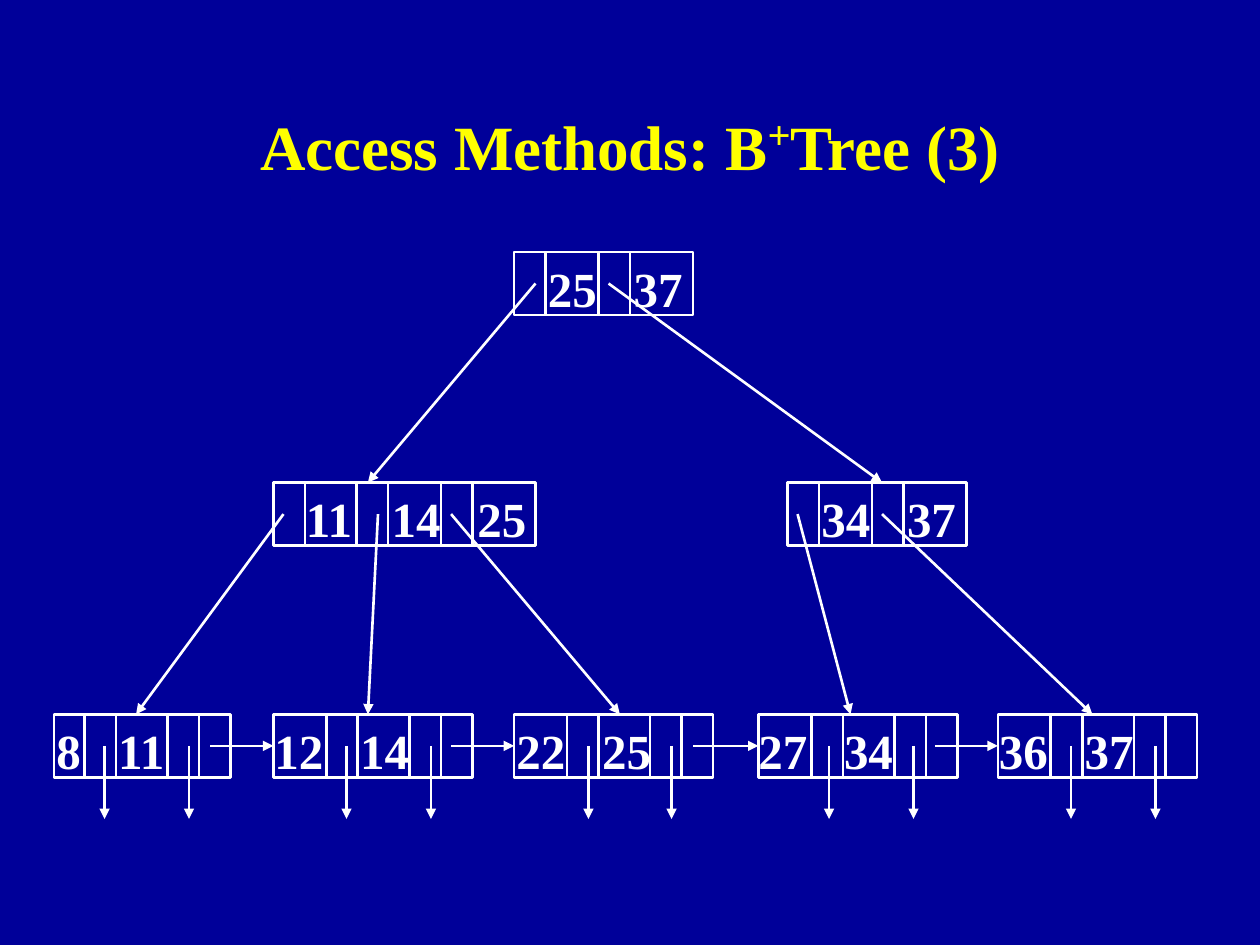
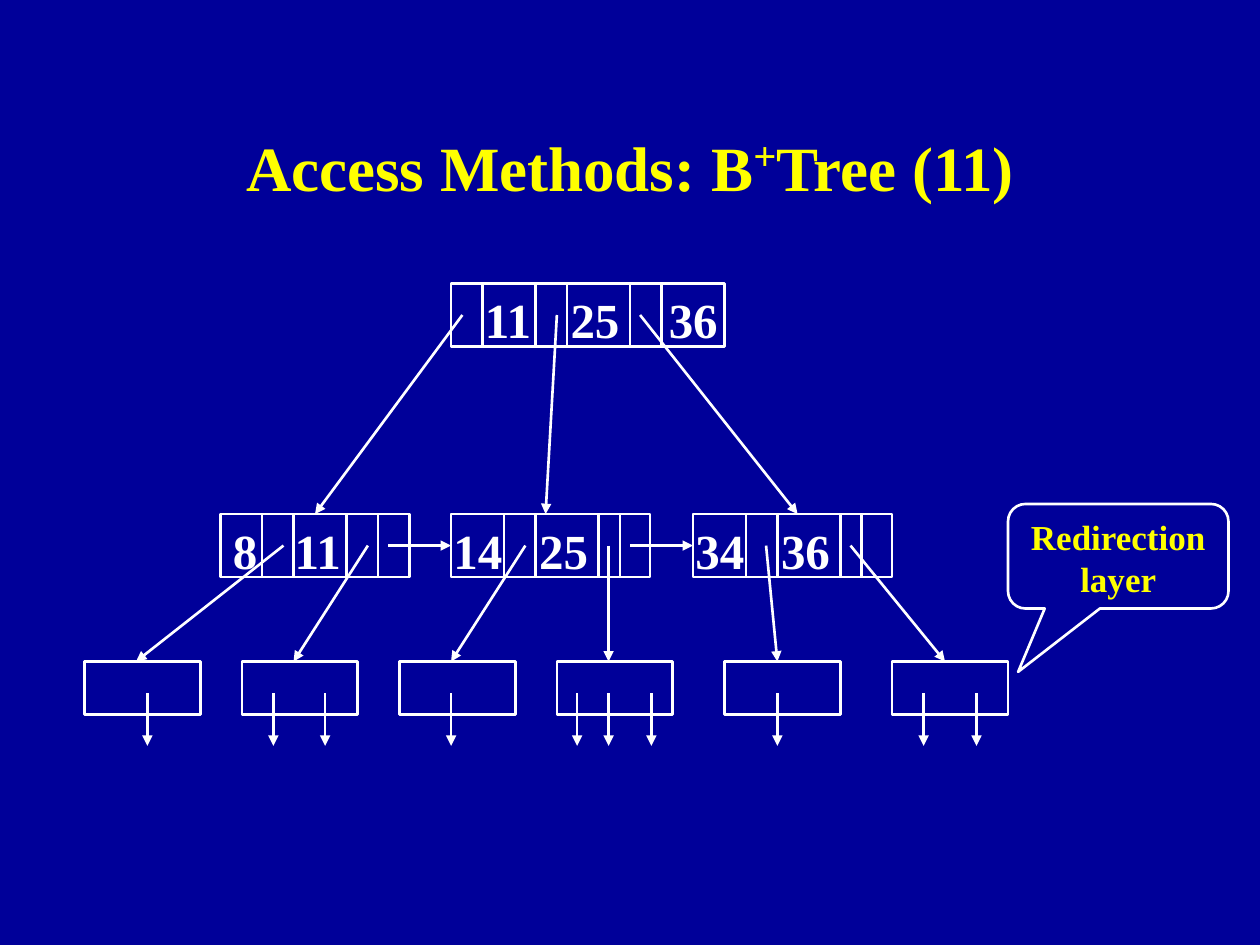
from itertools import accumulate

from lxml import etree
from pptx import Presentation
from pptx.dml.color import RGBColor
from pptx.enum.shapes import MSO_CONNECTOR, MSO_SHAPE
from pptx.enum.text import MSO_ANCHOR, MSO_AUTO_SIZE, PP_ALIGN
from pptx.oxml.ns import qn
from pptx.util import Inches, Pt

STRAIGHT = MSO_CONNECTOR.STRAIGHT
RECTANGLE = MSO_SHAPE.RECTANGLE
CALLOUT = MSO_SHAPE.ROUNDED_RECTANGULAR_CALLOUT
TOP, MIDDLE = MSO_ANCHOR.TOP, MSO_ANCHOR.MIDDLE
CENTER = PP_ALIGN.CENTER
NO_FIT, GROW = MSO_AUTO_SIZE.NONE, MSO_AUTO_SIZE.SHAPE_TO_FIT_TEXT
TOP_SITE, LEFT_SITE = 0, 1

NAVY, YELLOW, WHITE = "000099", "FFFF00", "FFFFFF"
FONT = "Times New Roman"
TITLE_FORMAT = {"size": 36, "color": YELLOW}
PLUS_FORMAT = {"size": 40, "color": YELLOW}
KEY_FORMAT = {"size": 28, "color": WHITE}
NOTE_FORMAT = {"size": 20, "color": YELLOW}

NODE_HEIGHT = 0.5
KEY_BOX_HEIGHT = 0.57
BUCKET_SIZE = (0.92, 0.42)
JOIN_TOLERANCE = 0.03

# Cell widths of each kind of node, from left to right
TWO_KEY_INNER = (0.25, 0.42, 0.25, 0.5)
THREE_KEY_INNER = (0.25, 0.41, 0.25, 0.42, 0.25, 0.5)
WIDE_ROOT = (0.25, 0.42, 0.25, 0.5, 0.25, 0.5)
LEAF = (0.42, 0.25, 0.41, 0.25, 0.25)
FIRST_LEAF = (0.24, 0.25, 0.41, 0.25, 0.25)
INDEX_LEAF = (0.42, 0.25, 0.5, 0.17, 0.24)
FIRST_INDEX_LEAF = (0.33, 0.25, 0.42, 0.25, 0.25)

# Nodes: left, top, cell widths, left of key text, keys, tab stops
# Arrow levels: start y, end y, (start x, end x) pairs
SLIDES = [
    {
        "title_end": "Tree (3)",
        "title_height": 0.92,
        "nodes": [
            (4.08, 2, TWO_KEY_INNER, 4.25, ("25", "37"), (0.68,)),
            (2.17, 3.83, THREE_KEY_INNER, 2.33, ("11", "14", "25"), (0.68, 1.36)),
            (6.25, 3.83, TWO_KEY_INNER, 6.42, ("34", "37"), (0.68,)),
            (0.43, 5.67, FIRST_LEAF, 0.35, ("8", "11"), (0.49,)),
            (2.17, 5.67, LEAF, 2.08, ("12", "14"), (0.68,)),
            (4.08, 5.67, LEAF, 4, ("22", "25"), (0.68,)),
            (6.02, 5.67, LEAF, 5.92, ("27", "34"), (0.68,)),
            (7.92, 5.67, LEAF, 7.83, ("36", "37"), (0.68,)),
        ],
        "buckets": [],
        "arrow_levels": [
            (2.25, 3.83, [(4.25, 2.92), (4.83, 7)]),
            (4.08, 5.67, [(2.25, 1.08), (3, 2.92), (3.58, 4.92),
                          (6.33, 6.75), (7, 8.67)]),
            (5.92, 5.92, [(1.67, 2.17), (3.58, 4.08), (5.5, 6.02), (7.42, 7.92)]),
            (5.92, 6.5, [(x, x) for x in (0.83, 1.5, 2.75, 3.42, 4.67,
                                          5.33, 6.58, 7.25, 8.5, 9.17)]),
        ],
        "note": None,
    },
    {
        "title_end": "Tree (11)",
        "title_height": 1.25,
        "nodes": [
            (3.58, 2.25, WIDE_ROOT, 3.75, ("11", "25", "36"), (0.68, 1.46)),
            (1.75, 4.08, FIRST_INDEX_LEAF, 1.75, ("8", "11"), (0.49,)),
            (3.58, 4.08, INDEX_LEAF, 3.5, ("14", "25"), (0.68,)),
            (5.5, 4.08, INDEX_LEAF, 5.42, ("34", "36"), (0.68,)),
        ],
        "buckets": [(x, 5.25) for x in (0.67, 1.92, 3.17, 4.42, 5.75, 7.08)],
        "arrow_levels": [
            (2.5, 4.08, [(3.67, 2.5), (4.42, 4.33), (5.08, 6.33)]),
            (4.33, 4.33, [(3.08, 3.58), (5, 5.5)]),
            (4.33, 5.25, [(2.25, 1.08), (2.92, 2.33), (4.17, 3.58),
                          (4.83, 4.83), (6.08, 6.17), (6.75, 7.5)]),
            (5.5, 5.92, [(x, x) for x in (1.17, 2.17, 2.58, 3.58, 4.58,
                                          4.83, 5.17, 6.17, 7.33, 7.75)]),
        ],
        "note": {
            "text": "Redirection layer",
            "box": (8, 4, 1.75, 0.83),
            "adjustments": (-0.454, 1.106, 0.167),
        },
    },
]


def rgb(color):
    return RGBColor.from_string(color)


def inches(*values):
    return [Inches(value) for value in values]


def set_attributes(target, values):
    for name, value in values.items():
        setattr(target, name, value)


def add_run(paragraph, text, text_format):
    run = paragraph.add_run()
    run.text = text
    set_attributes(run.font, {"name": FONT, "bold": True,
                              "size": Pt(text_format["size"])})
    run.font.color.rgb = rgb(text_format["color"])
    return run


def style_line(shape):
    shape.line.color.rgb = rgb(WHITE)
    shape.line.width = Pt(1.5)


def add_outline(slide, kind, box):
    shape = slide.shapes.add_shape(kind, *inches(*box))
    shape.shadow.inherit = False
    shape.fill.background()
    style_line(shape)
    return shape


def add_line(slide, start, end):
    line = slide.shapes.add_connector(STRAIGHT, *inches(*start, *end))
    style_line(line)
    etree.SubElement(line._element.spPr, qn("a:effectLst"))
    return line


def add_arrow(slide, start, end, rectangles):
    """Draw an arrow and join its end to any rectangle side centred there."""
    arrow = add_line(slide, start, end)
    etree.SubElement(arrow.line._get_or_add_ln(), qn("a:tailEnd"), type="triangle")
    for rectangle in rectangles:
        sites = {
            TOP_SITE: (rectangle.left + rectangle.width / 2, rectangle.top),
            LEFT_SITE: (rectangle.left, rectangle.top + rectangle.height / 2),
        }
        for site, point in sites.items():
            if all(abs(a - b) <= Inches(JOIN_TOLERANCE)
                   for a, b in zip(point, inches(*end))):
                arrow.end_connect(rectangle, site)


def add_title(slide, title_end, height):
    title = slide.shapes.title
    set_attributes(title, dict(zip(("left", "top", "width", "height"),
                                   inches(0.75, 0.67, 8.5, height))))
    set_attributes(title.text_frame, {"vertical_anchor": MIDDLE, "auto_size": NO_FIT})
    paragraph = title.text_frame.paragraphs[0]
    paragraph.alignment = CENTER
    add_run(paragraph, "Access Methods: B", TITLE_FORMAT)
    plus = add_run(paragraph, "+", PLUS_FORMAT)
    plus._r.get_or_add_rPr().set("baseline", "30000")
    add_run(paragraph, title_end, TITLE_FORMAT)


def add_keys(slide, left, top, width, keys, tab_stops):
    box = slide.shapes.add_textbox(*inches(left, top, width, KEY_BOX_HEIGHT))
    set_attributes(box.text_frame, {"word_wrap": True, "auto_size": GROW})
    paragraph = box.text_frame.paragraphs[0]
    tab_list = etree.SubElement(paragraph._p.get_or_add_pPr(), qn("a:tabLst"))
    for position in tab_stops:
        etree.SubElement(tab_list, qn("a:tab"), pos=str(Inches(position)), algn="l")
    add_run(paragraph, "\t".join(keys), KEY_FORMAT)


def add_node(slide, left, top, cells, text_left, keys, tab_stops):
    *dividers, width = accumulate(cells)
    add_keys(slide, text_left, top, width, keys, tab_stops)
    rectangle = add_outline(slide, RECTANGLE, (left, top, width, NODE_HEIGHT))
    for offset in dividers:
        x = left + offset
        add_line(slide, (x, top), (x, top + NODE_HEIGHT))
    return rectangle


def add_note(slide, note):
    callout = add_outline(slide, CALLOUT, note["box"])
    for index, value in enumerate(note["adjustments"]):
        callout.adjustments[index] = value
    set_attributes(callout.text_frame, {"word_wrap": True, "vertical_anchor": TOP})
    paragraph = callout.text_frame.paragraphs[0]
    paragraph.alignment = CENTER
    add_run(paragraph, note["text"], NOTE_FORMAT)


def build_slide(presentation, content):
    slide = presentation.slides.add_slide(presentation.slide_layouts[5])
    add_title(slide, content["title_end"], content["title_height"])
    rectangles = [add_node(slide, *node) for node in content["nodes"]]
    rectangles += [add_outline(slide, RECTANGLE, corner + BUCKET_SIZE)
                   for corner in content["buckets"]]
    for start_y, end_y, pairs in content["arrow_levels"]:
        for start_x, end_x in pairs:
            add_arrow(slide, (start_x, start_y), (end_x, end_y), rectangles)
    if content["note"]:
        add_note(slide, content["note"])


def main():
    presentation = Presentation()
    presentation.slide_width, presentation.slide_height = inches(10, 7.5)
    background = presentation.slide_master.background.fill
    background.solid()
    background.fore_color.rgb = rgb(NAVY)
    for content in SLIDES:
        build_slide(presentation, content)
    presentation.save("out.pptx")


if __name__ == "__main__":
    main()
